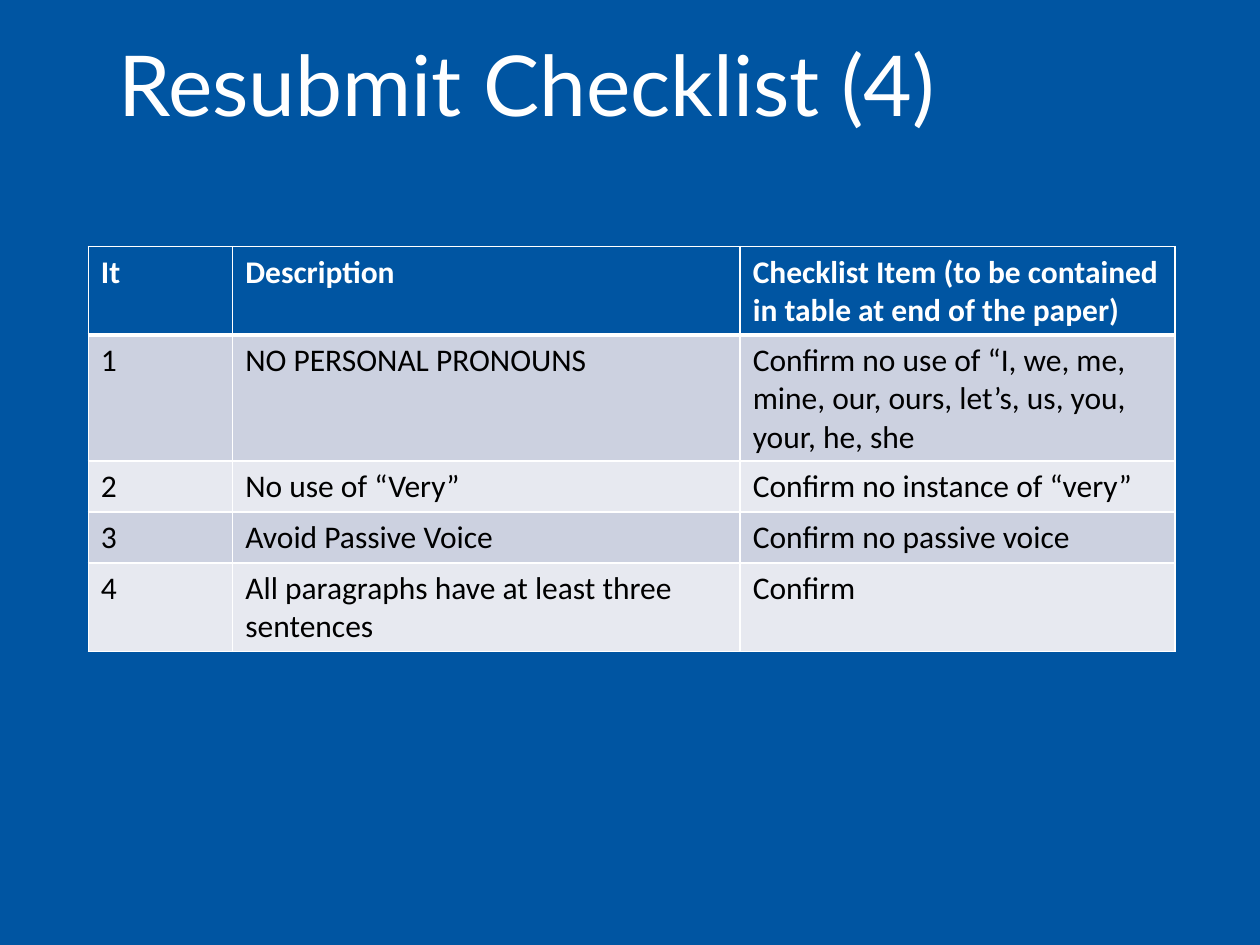
from dataclasses import dataclass

from lxml import etree
from pptx import Presentation
from pptx.dml.color import RGBColor
from pptx.enum.text import MSO_ANCHOR
from pptx.oxml.ns import qn
from pptx.util import Pt

MIDDLE = MSO_ANCHOR.MIDDLE
BLANK_LAYOUT = 6

BLUE = "0055A2"
WHITE = "FFFFFF"
BLACK = "000000"
BANDS = ("CCD1E0", "E7E9F0")

COLUMN_WIDTHS = (82.5, 290, 248.5)
ROW_HEIGHT = 29.2
THIN, THICK = 1, 3


@dataclass
class RowStyle:
    fill: str
    text: str
    bold: bool
    top: float
    bottom: float


HEADER = ("It", "Description", "Checklist Item (to be contained in table at end of the paper)")
ITEMS = (
    ("NO PERSONAL PRONOUNS",
     "Confirm no use of “I, we, me, mine, our, ours, let’s, us, you, your, he, she"),
    ("No use of “Very”", "Confirm no instance of “very”"),
    ("Avoid Passive Voice", "Confirm no passive voice"),
    ("All paragraphs have at least three sentences", "Confirm"),
)


def color(value: str) -> RGBColor:
    return RGBColor.from_string(value)


def format_font(font, name: str, size: float, value: str, bold: bool = False) -> None:
    font.name = name
    font.size = Pt(size)
    font.bold = bold
    font.color.rgb = color(value)


def add_border(cell, side: str, width: float) -> None:
    """Append a white line; sides must come in the order L, R, T, B, before the fill."""
    properties = cell._tc.get_or_add_tcPr()
    line = etree.SubElement(properties, qn(f"a:ln{side}"), w=str(Pt(width)))
    fill = etree.SubElement(line, qn("a:solidFill"))
    etree.SubElement(fill, qn("a:srgbClr"), val=WHITE)


def fill_row(cells, texts: tuple[str, ...], style: RowStyle) -> None:
    for cell, text in zip(cells, texts):
        cell.text_frame.text = text
        run = cell.text_frame.paragraphs[0].runs[0]
        format_font(run.font, "Calibri", 18, style.text, style.bold)
        widths = {"L": THIN, "R": THIN, "T": style.top, "B": style.bottom}
        for side, width in widths.items():
            add_border(cell, side, width)
        cell.fill.solid()
        cell.fill.fore_color.rgb = color(style.fill)


def add_title(slide, text: str) -> None:
    box = slide.shapes.add_textbox(Pt(60.5), Pt(16), Pt(620.5), Pt(70))
    frame = box.text_frame
    frame.word_wrap = True
    frame.vertical_anchor = MIDDLE
    frame.text = text
    paragraph = frame.paragraphs[0]
    paragraph.line_spacing = 0.9
    format_font(paragraph.runs[0].font, "Lato", 48, WHITE)


def add_checklist(slide) -> None:
    row_count = len(ITEMS) + 1
    frame = slide.shapes.add_table(
        row_count, len(COLUMN_WIDTHS), Pt(50.5), Pt(141),
        Pt(sum(COLUMN_WIDTHS)), Pt(ROW_HEIGHT * row_count))
    table = frame.table
    for column, width in zip(table.columns, COLUMN_WIDTHS):
        column.width = Pt(width)
    fill_row(table.rows[0].cells, HEADER, RowStyle(BLUE, WHITE, True, THIN, THICK))
    for number, item in enumerate(ITEMS, start=1):
        top = THICK if number == 1 else THIN
        style = RowStyle(BANDS[(number - 1) % 2], BLACK, False, top, THIN)
        fill_row(table.rows[number].cells, (str(number), *item), style)


def main() -> None:
    presentation = Presentation()
    presentation.slide_width = Pt(720)
    presentation.slide_height = Pt(540)
    slide = presentation.slides.add_slide(presentation.slide_layouts[BLANK_LAYOUT])
    slide.background.fill.solid()
    slide.background.fill.fore_color.rgb = color(BLUE)
    add_title(slide, "Resubmit Checklist (4)")
    add_checklist(slide)
    presentation.save("out.pptx")


if __name__ == "__main__":
    main()
